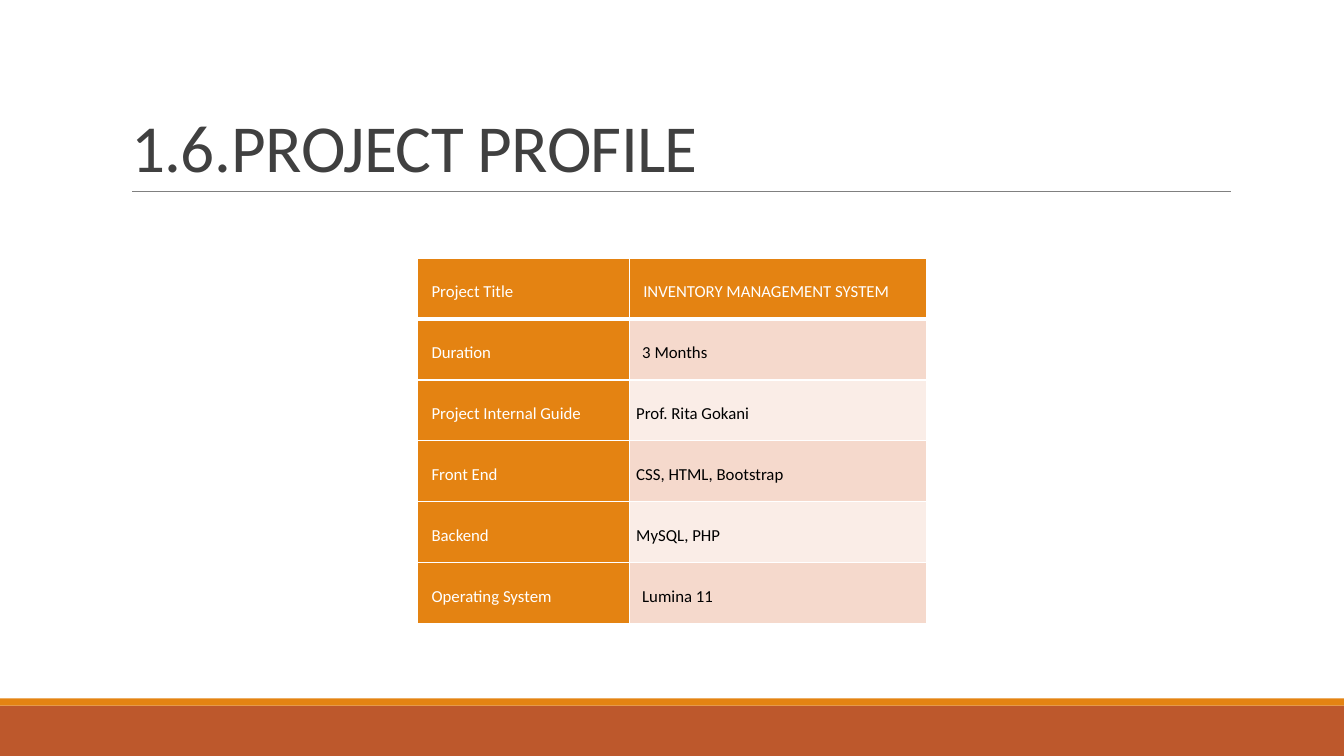
"""Build the project profile slide with its two-column table."""
from dataclasses import dataclass

import pptx
import pptx.dml.color
import pptx.enum.shapes
import pptx.enum.text
import pptx.oxml
import pptx.oxml.ns
import pptx.util
from pptx.util import Inches


@dataclass(frozen=True)
class Theme:
    font: str = "Calibri"
    head: int = 48
    body: int = 12
    dark: str = "404040"
    black: str = "000000"
    white: str = "FFFFFF"
    rule: str = "808080"
    rust: str = "BD582C"
    gold: str = "E48312"
    pink: str = "F5D9CC"
    pale: str = "FAEDE7"


THEME = Theme()
ROWS = [
    ("Project Title", "INVENTORY MANAGEMENT SYSTEM", 0.07),
    ("Duration", "3 Months", 0.06),
    ("Project Internal Guide", "Prof. Rita Gokani", 0),
    ("Front End", "CSS, HTML, Bootstrap", 0),
    ("Backend", "MySQL, PHP", 0),
    ("Operating System", "Lumina 11", 0.06),
]


def rgb(code):
    return pptx.dml.color.RGBColor.from_string(code)


def style(para, size, color):
    para.alignment = pptx.enum.text.PP_ALIGN.LEFT
    para.font.name = THEME.font
    para.font.size = pptx.util.Pt(size)
    para.font.color.rgb = rgb(color)


def add_band(slide, top, height, color):
    kind = pptx.enum.shapes.MSO_SHAPE.RECTANGLE
    band = slide.shapes.add_shape(
        kind, 0, Inches(top), Inches(13.33), Inches(height))
    band.shadow.inherit = False
    band.fill.solid()
    band.fill.fore_color.rgb = rgb(color)
    band.line.fill.background()


def add_rule(slide, left, right, top):
    kind = pptx.enum.shapes.MSO_CONNECTOR.STRAIGHT
    rule = slide.shapes.add_connector(
        kind, Inches(left), Inches(top), Inches(right), Inches(top))
    rule.line.color.rgb = rgb(THEME.rule)
    rule.line.width = pptx.util.Pt(0.5)
    props = rule._element.spPr
    props.append(props.makeelement(pptx.oxml.ns.qn("a:effectLst"), {}))


def set_title(slide, text):
    title = slide.shapes.title
    title.left, title.top = Inches(1.2), Inches(0.31)
    title.width, title.height = Inches(11), Inches(1.59)
    frame = title.text_frame
    frame.text = text
    frame.word_wrap = True
    frame.auto_size = pptx.enum.text.MSO_AUTO_SIZE.NONE
    frame.vertical_anchor = pptx.enum.text.MSO_ANCHOR.BOTTOM
    para = frame.paragraphs[0]
    para.line_spacing = 0.85
    style(para, THEME.head, THEME.dark)
    para.runs[0]._r.get_or_add_rPr().set("spc", "-50")


def set_edge(cell, side, width):
    space = pptx.oxml.ns.nsdecls("a")
    cell._tc.get_or_add_tcPr().append(pptx.oxml.parse_xml(
        f'<a:ln{side} {space} w="{pptx.util.Pt(width)}"><a:solidFill>'
        f'<a:srgbClr val="{THEME.white}"/></a:solidFill></a:ln{side}>'))


def fill_cell(cell, text, indent, fill, color, top, base):
    cell.margin_left = cell.margin_right = Inches(0.07)
    cell.margin_top = cell.margin_bottom = 0
    cell.vertical_anchor = pptx.enum.text.MSO_ANCHOR.MIDDLE
    for side, width in zip("LRTB", (1, 1, top, base)):
        set_edge(cell, side, width)
    cell.fill.solid()
    cell.fill.fore_color.rgb = rgb(fill)
    cell.text = text
    para = cell.text_frame.paragraphs[0]
    para._p.get_or_add_pPr().set("marL", str(Inches(indent)))
    para.line_spacing = 1.3
    para.space_after = pptx.util.Pt(6)
    style(para, THEME.body, color)


def add_grid(slide):
    frame = slide.shapes.add_table(
        len(ROWS), 2, Inches(4.14), Inches(2.56), Inches(5.05), Inches(3.63))
    table = frame.table
    table.first_row = table.horz_banding = False
    for col, width in zip(table.columns, (2.1, 2.95)):
        col.width = Inches(width)
    for num, (label, value, indent) in enumerate(ROWS):
        table.rows[num].height = Inches(3.63 / len(ROWS))
        top, base = (3 if num == 1 else 1), (3 if num == 0 else 1)
        fill, color = (THEME.pink if num % 2 else THEME.pale), THEME.black
        if num == 0:
            fill, color = THEME.gold, THEME.white
        fill_cell(table.cell(num, 0), label, 0.07,
                  THEME.gold, THEME.white, top, base)
        fill_cell(table.cell(num, 1), value, indent, fill, color, top, base)


def main():
    deck = pptx.Presentation()
    deck.slide_width, deck.slide_height = Inches(13.33), Inches(7.5)
    slide = deck.slides.add_slide(deck.slide_layouts[5])
    add_band(slide, 7, 0.5, THEME.rust)
    add_band(slide, 6.93, 0.07, THEME.gold)
    add_rule(slide, 1.31, 12.21, 1.9)
    set_title(slide, "1.6.\tPROJECT PROFILE")
    add_grid(slide)
    deck.save("out.pptx")


if __name__ == "__main__":
    main()
